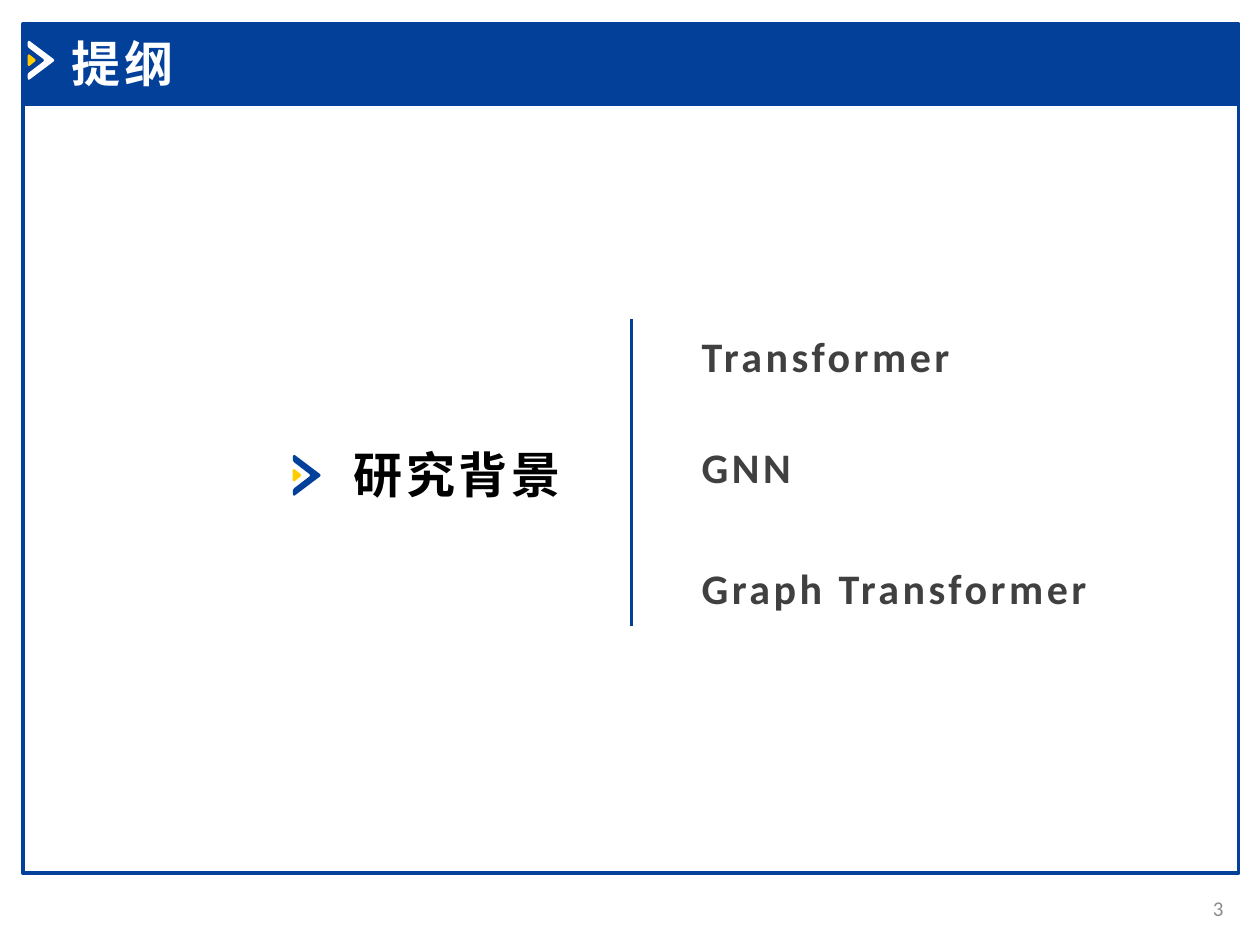
import dataclasses

import lxml.etree
import pptx
import pptx.dml.color
import pptx.enum.shapes
import pptx.enum.text
import pptx.oxml.ns
import pptx.util

Pt = pptx.util.Pt
RGB = pptx.dml.color.RGBColor.from_string
qn = pptx.oxml.ns.qn
MSO_SHAPE = pptx.enum.shapes.MSO_SHAPE
ANCHOR = pptx.enum.text.MSO_ANCHOR
ALIGN = pptx.enum.text.PP_ALIGN
AUTO_SIZE = pptx.enum.text.MSO_AUTO_SIZE


@dataclasses.dataclass(frozen=True)
class Theme:
    blue: str = "02409A"
    yellow: str = "FFCC00"
    white: str = "FFFFFF"
    black: str = "000000"
    grey: str = "404040"
    light_grey: str = "8C8C8C"
    latin: str = "Calibri"
    chinese: str = "Noto Sans CJK SC"
    heading_size: int = 28
    item_size: int = 24
    number_size: int = 12


theme = Theme()


def write_text(p, text, *, size, color, font=theme.latin, bold=True,
               spacing=2, align=ALIGN.LEFT, before=0):
    p.alignment = align
    p.space_before = Pt(before)
    pPr = p._p.get_or_add_pPr()
    pPr.set("marL", "0")
    pPr.set("indent", "0")
    lxml.etree.SubElement(pPr, qn("a:buNone"))
    r = p.add_run()
    r.text = text
    r.font.size = Pt(size)
    r.font.bold = bold
    r.font.name = font
    r.font.color.rgb = RGB(color)
    rPr = r._r.get_or_add_rPr()
    rPr.set("spc", str(spacing * 100))
    lxml.etree.SubElement(rPr, qn("a:ea")).set("typeface", theme.chinese)


def add_chevron(s, left, top, width, height, color):
    # Outlines on a 100 by 100 grid: the open arrow and the small wedge
    arrow = [(0, 4), (4, 0), (8, 1), (98, 47), (100, 50), (98, 53),
             (8, 99), (4, 100), (0, 96), (0, 87), (4, 82), (60, 53),
             (62, 50), (60, 47), (4, 18), (0, 13)]
    wedge = [(0, 38), (4, 35), (8, 36), (28, 47), (30, 50), (28, 53),
             (8, 64), (4, 65), (0, 62)]
    for points, fill in ((arrow, color), (wedge, theme.yellow)):
        builder = s.shapes.build_freeform(
            *points[0], scale=(Pt(width) / 100, Pt(height) / 100))
        builder.add_line_segments(points[1:], close=True)
        sp = builder.convert_to_shape(Pt(left), Pt(top))
        sp.shadow.inherit = False
        sp.fill.solid()
        sp.fill.fore_color.rgb = RGB(fill)
        sp.line.fill.background()


prs = pptx.Presentation()
prs.slide_width, prs.slide_height = Pt(720), Pt(540)
s = prs.slides.add_slide(prs.slide_layouts[1])
title, body = s.placeholders

# Frame and header bar
for top, height, filled in ((59.8, 439.2, False), (13.7, 46.1, True)):
    sp = s.shapes.add_shape(MSO_SHAPE.RECTANGLE, Pt(13), Pt(top),
                            Pt(694.8), Pt(height))
    sp.shadow.inherit = False
    sp.line.color.rgb = RGB(theme.blue)
    sp.line.width = Pt(2)
    if filled:
        sp.fill.solid()
        sp.fill.fore_color.rgb = RGB(theme.blue)
    else:
        sp.fill.background()

# Chevrons of the header and of the section
add_chevron(s, 15.8, 23.3, 15.2, 22.3, theme.white)
add_chevron(s, 167.3, 259.9, 15.9, 23.4, theme.blue)

# Title, in front of the header bar
title.element.getparent().append(title.element)
title.left, title.top, title.width, title.height = (
    Pt(33.8), Pt(15.8), Pt(256.3), Pt(41))
tf = title.text_frame
tf.vertical_anchor = ANCHOR.TOP
tf.auto_size = AUTO_SIZE.SHAPE_TO_FIT_TEXT
write_text(tf.paragraphs[0], "提纲", size=theme.heading_size,
           color=theme.white)

# Section name
sp = s.shapes.add_textbox(Pt(195.1), Pt(250.6), Pt(154.8), Pt(41))
tf = sp.text_frame
tf.word_wrap = True
tf.auto_size = AUTO_SIZE.SHAPE_TO_FIT_TEXT
write_text(tf.paragraphs[0], "研究背景", size=theme.heading_size,
           color=theme.black, font=theme.chinese)

# Divider
line = s.shapes.add_connector(pptx.enum.shapes.MSO_CONNECTOR.STRAIGHT,
                              Pt(360.7), Pt(182.2), Pt(360.7), Pt(357.8))
line.line.color.rgb = RGB(theme.blue)
line.line.width = Pt(1.5)
lxml.etree.SubElement(line.element.spPr, qn("a:effectLst"))

# Topics of the section
body.element.getparent().append(body.element)
body.left, body.top, body.width, body.height = (
    Pt(393.8), Pt(185), Pt(253.4), Pt(170))
tf = body.text_frame
tf.vertical_anchor = ANCHOR.TOP
tf.auto_size = AUTO_SIZE.NONE
topics = [("Transformer", 0), ("GNN", 34.8), ("Graph Transformer", 40.5)]
for i, (topic, gap) in enumerate(topics):
    p = tf.add_paragraph() if i else tf.paragraphs[0]
    write_text(p, topic, size=theme.item_size, color=theme.grey, before=gap)

# Slide number
sp = s.shapes.add_textbox(Pt(663.8), Pt(504.7), Pt(42.5), Pt(28.8))
tf = sp.text_frame
tf.word_wrap = True
tf.vertical_anchor = ANCHOR.MIDDLE
write_text(tf.paragraphs[0], "3", size=theme.number_size,
           color=theme.light_grey, bold=False, spacing=0, align=ALIGN.RIGHT)

prs.save("out.pptx")
